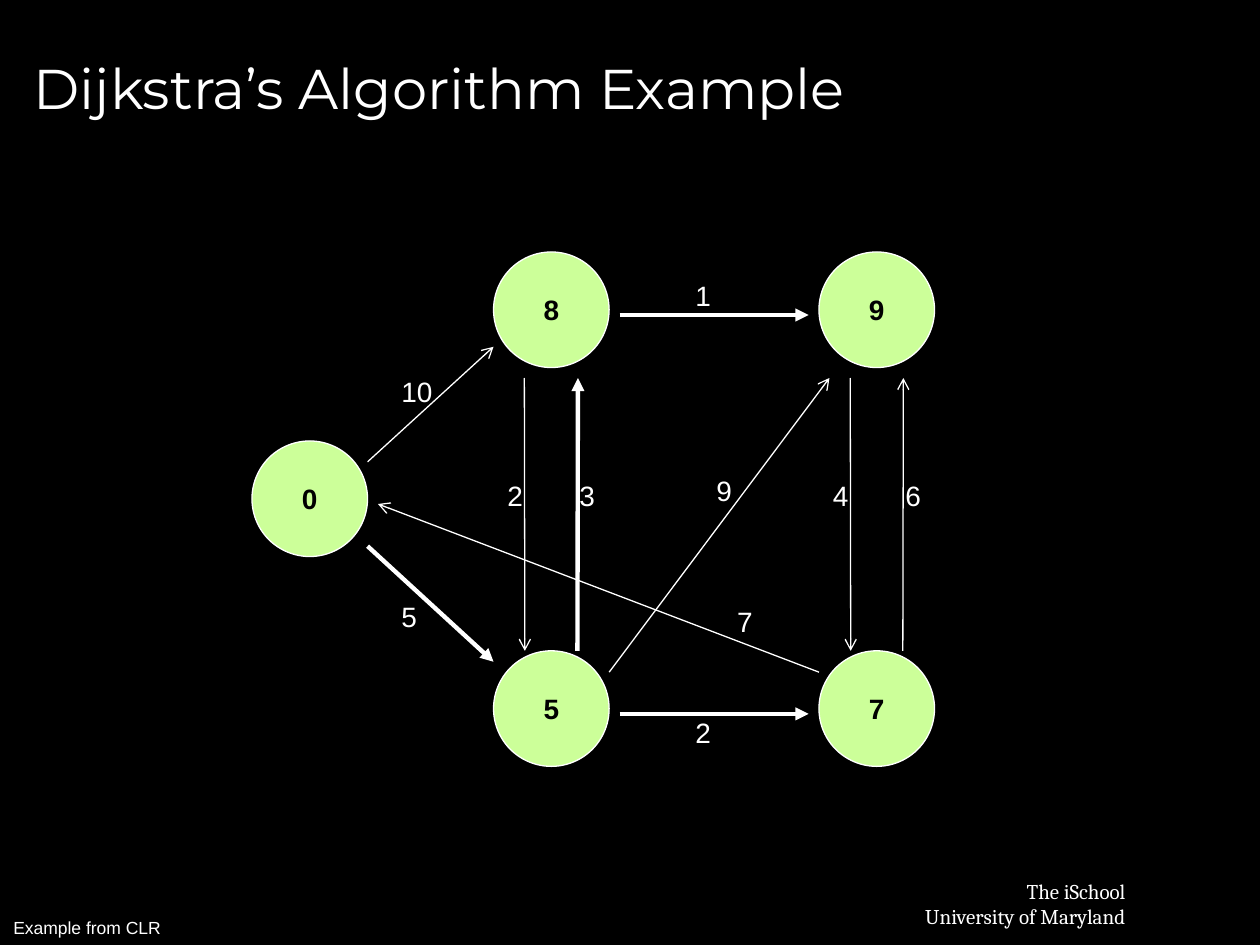
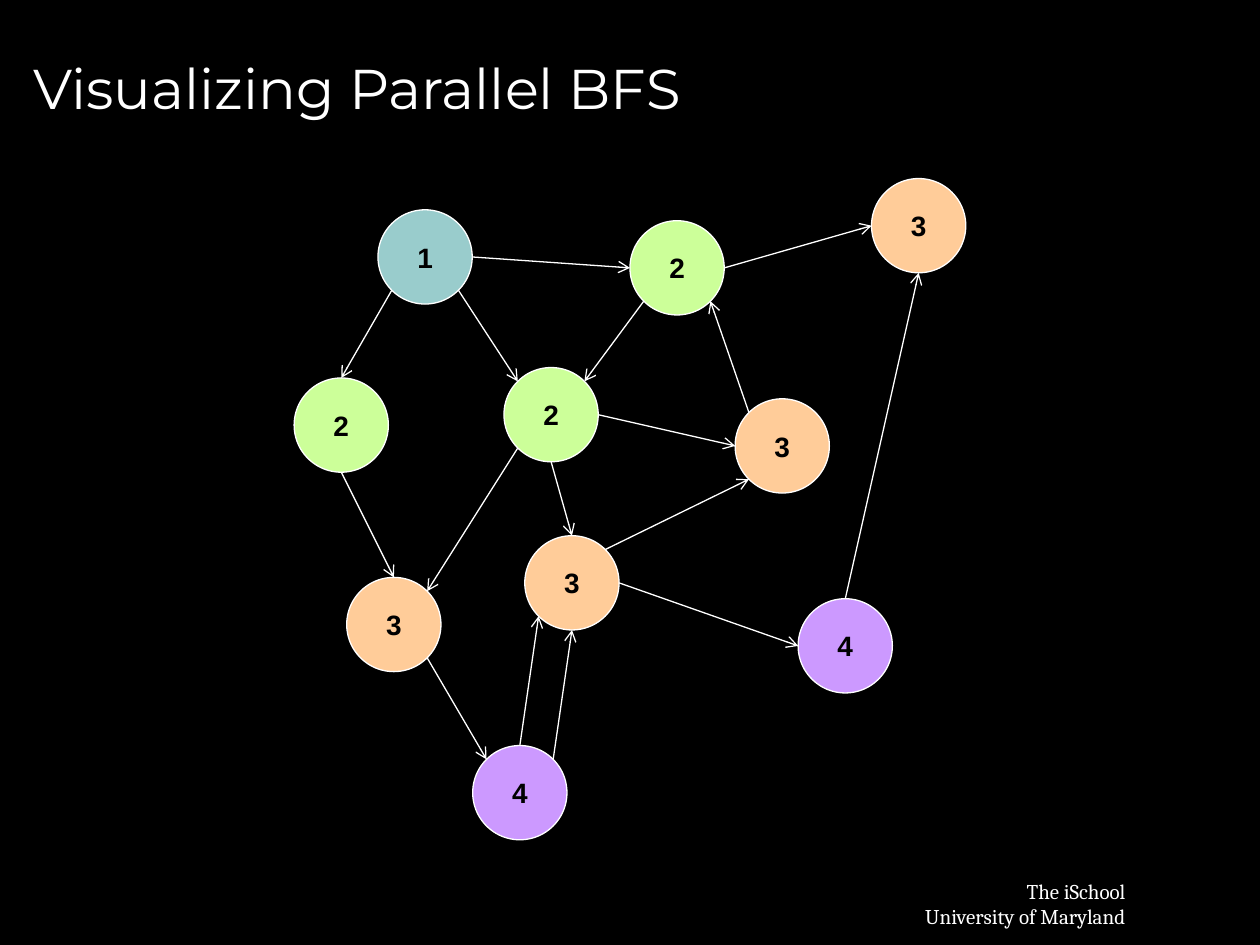
"""Build two graph-algorithm slides: Dijkstra's algorithm and parallel BFS."""
import math

from lxml import etree
from pptx import Presentation
from pptx import util as u
from pptx.dml.color import RGBColor
from pptx.enum import shapes, text
from pptx.oxml import ns

COLORS = {"back": "000000", "ink": "FFFFFF", "node_text": "000000",
          "teal": "99CCCC", "green": "CCFF99", "orange": "FFCC99", "violet": "CC99FF"}
SITES = {"E": 0, "SE": 45, "S": 90, "SW": 135, "W": 180, "NW": 225, "N": 270, "NE": 315}
LEVEL_COLORS = {1: "teal", 2: "green", 3: "orange", 4: "violet"}
TITLE_ONLY = 5

DIJKSTRA_SIZE = 2.33
DIJKSTRA_NODES = [("0", 5.08, 8.89), ("8", 9.95, 5.08), ("5", 9.95, 13.12),
                  ("9", 16.51, 5.08), ("7", 16.51, 13.12)]
DIJKSTRA_EDGES = [
    ((7.41, 11.01), (9.95, 13.34), "5", (7.84, 11.97), True),
    ((7.41, 9.31), (9.95, 6.99), "10", (7.84, 7.42), False),
    ((12.49, 14.39), (16.3, 14.39), "2", (13.77, 14.3), True),
    ((12.49, 6.35), (16.3, 6.35), "1", (13.77, 5.5), True),
    ((12.28, 13.55), (16.72, 7.62), "9", (14.19, 9.43), False),
    ((16.51, 13.55), (7.62, 10.16), "7", (14.61, 12.07), False),
    ((11.64, 13.12), (11.65, 7.62), "3", (11.43, 9.52), True),
    ((10.57, 7.62), (10.58, 13.12), "2", (9.98, 9.52), False),
    ((18.2, 13.12), (18.21, 7.62), "6", (18, 9.52), False),
    ((17.14, 7.62), (17.15, 13.12), "4", (16.54, 9.52), False),
]

BFS_SIZE = 1.9
BFS_NODES = {
    "1a": (7.62, 4.23),
    "2a": (5.93, 7.62), "2b": (10.16, 7.41), "2c": (12.7, 4.45),
    "3a": (17.57, 3.6), "3b": (14.82, 8.04), "3c": (10.58, 10.8), "3d": (6.99, 11.64),
    "4a": (9.53, 15.03), "4b": (16.09, 12.07),
}
BFS_EDGES = [
    ("1a", "SW", "2a", "N"), ("1a", "SE", "2b", "NW"), ("1a", "E", "2c", "W"),
    ("2c", "E", "3a", "W"), ("4b", "N", "3a", "S"), ("3b", "NW", "2c", "SE"),
    ("2c", "SW", "2b", "NE"), ("2b", "E", "3b", "W"), ("2a", "S", "3d", "N"),
    ("2b", "SW", "3d", "NE"), ("2b", "S", "3c", "N"), ("3c", "NE", "3b", "SW"),
    ("3d", "SE", "4a", "NW"), ("4a", "N", "3c", "SW"), ("4a", "NE", "3c", "S"),
    ("3c", "E", "4b", "W"),
]


def rgb(name):
    return RGBColor.from_string(COLORS[name])


def write(tf, content, size=16, font="Arial", color="ink", bold=False,
          align=text.PP_ALIGN.LEFT, anchor=text.MSO_ANCHOR.TOP, wrap=False):
    tf.word_wrap = wrap
    tf.auto_size = text.MSO_AUTO_SIZE.NONE
    tf.vertical_anchor = anchor
    for i, line in enumerate(content.split("\n")):
        p = tf.add_paragraph() if i else tf.paragraphs[0]
        p.alignment = align
        r = p.add_run()
        r.text = line
        r.font.size, r.font.name, r.font.bold = u.Pt(size), font, bold
        r.font.color.rgb = rgb(color)


def add_label(s, content, left, top, width=0.81, height=0.94, **style):
    sp = s.shapes.add_textbox(u.Cm(left), u.Cm(top), u.Cm(width), u.Cm(height))
    write(sp.text_frame, content, **style)
    return sp


def add_node(s, content, left, top, size, color):
    sp = s.shapes.add_shape(shapes.MSO_SHAPE.OVAL, u.Cm(left), u.Cm(top), u.Cm(size), u.Cm(size))
    sp.shadow.inherit = False
    sp.fill.solid()
    sp.fill.fore_color.rgb = rgb(color)
    sp.line.color.rgb = rgb("ink")
    sp.line.width = u.Pt(0.75)
    write(sp.text_frame, content, color="node_text", bold=True, wrap=True,
          align=text.PP_ALIGN.CENTER, anchor=text.MSO_ANCHOR.MIDDLE)


def add_arrow(s, start, end, heavy=False):
    points = [u.Cm(v) for v in (*start, *end)]
    cxn = s.shapes.add_connector(shapes.MSO_CONNECTOR.STRAIGHT, *points)
    cxn.line.color.rgb = rgb("ink")
    cxn.line.width = u.Pt(2.5 if heavy else 0.75)
    etree.SubElement(cxn.line._get_or_add_ln(), ns.qn("a:tailEnd"),
                     type="triangle" if heavy else "arrow")
    etree.SubElement(cxn._element.spPr, ns.qn("a:effectLst"))


def add_slide(prs, title):
    s = prs.slides.add_slide(prs.slide_layouts[TITLE_ONLY])
    sp = s.shapes.title
    sp.left, sp.top, sp.width, sp.height = (u.Cm(v) for v in (0.42, 0.32, 24.13, 2.86))
    write(sp.text_frame, title, size=32, font="Montserrat", wrap=True,
          anchor=text.MSO_ANCHOR.MIDDLE)
    return s


def style_master(prs, s):
    master = prs.slide_master
    master.background.fill.solid()
    master.background.fill.fore_color.rgb = rgb("back")
    sp = add_label(s, "The iSchool\nUniversity of Maryland", 18.01, 17.58, 4.93, 1.27,
                   size=12, font="Cambria", align=text.PP_ALIGN.RIGHT)
    master.shapes._spTree.append(sp._element)


def site_point(node, site):
    radius, angle = BFS_SIZE / 2, math.radians(SITES[site])
    left, top = BFS_NODES[node]
    return left + radius * (1 + math.cos(angle)), top + radius * (1 + math.sin(angle))


def draw_dijkstra(s):
    for distance, left, top in DIJKSTRA_NODES:
        add_node(s, distance, left, top, DIJKSTRA_SIZE, "green")
    for start, end, weight, place, heavy in DIJKSTRA_EDGES:
        add_arrow(s, start, end, heavy)
        add_label(s, weight, *place, width=0.5 + 0.31 * len(weight))
    add_label(s, "Example from CLR", 0.02, 18.36, 3.48, 0.69, size=10)


def draw_bfs(s):
    for node, (left, top) in BFS_NODES.items():
        level = node[0]
        add_node(s, level, left, top, BFS_SIZE, LEVEL_COLORS[int(level)])
    for source, out_site, target, in_site in BFS_EDGES:
        add_arrow(s, site_point(source, out_site), site_point(target, in_site))


def main():
    prs = Presentation()
    prs.slide_width, prs.slide_height = u.Cm(25.4), u.Cm(19.05)
    s = add_slide(prs, "Dijkstra’s Algorithm Example")
    style_master(prs, s)
    draw_dijkstra(s)
    draw_bfs(add_slide(prs, "Visualizing Parallel BFS"))
    prs.save("out.pptx")


if __name__ == "__main__":
    main()
